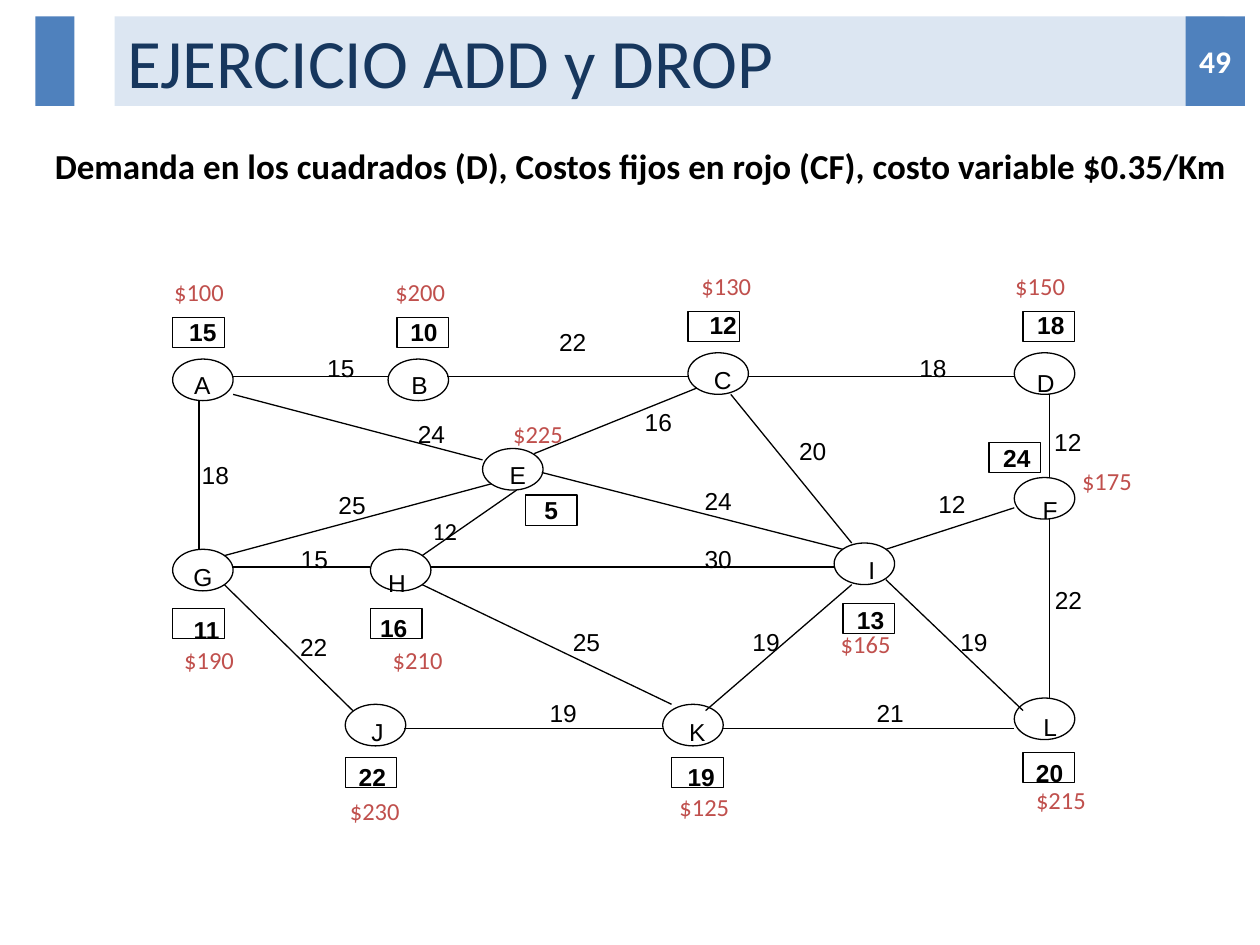
from dataclasses import dataclass

from lxml import etree
from pptx import Presentation
from pptx.dml.color import RGBColor
from pptx.enum.shapes import MSO_CONNECTOR, MSO_SHAPE
from pptx.enum.text import MSO_ANCHOR, PP_ALIGN
from pptx.oxml.ns import qn
from pptx.util import Inches, Pt

RECTANGLE, OVAL = MSO_SHAPE.RECTANGLE, MSO_SHAPE.OVAL
STRAIGHT = MSO_CONNECTOR.STRAIGHT
LEFT, CENTER = PP_ALIGN.LEFT, PP_ALIGN.CENTER
TOP, MIDDLE = MSO_ANCHOR.TOP, MSO_ANCHOR.MIDDLE

# The slide is a grid of 1000 columns by 750 rows.
CELL = Inches(10) // 1000
NODE_SIZE = (48, 33)
SQUARE_SIZE = (41, 24)
LABEL_HEIGHT = 34


@dataclass(frozen=True)
class Theme:
    heading_font: str = "Calibri"
    diagram_font: str = "Arial"
    pale: str = "DCE6F2"
    accent: str = "4F81BD"
    title: str = "17375E"
    ink: str = "000000"
    paper: str = "FFFFFF"
    cost: str = "C0504D"
    title_size: float = 39.6
    subtitle_size: float = 20
    number_size: float = 18
    label_size: float = 14
    line_width: float = 0.75


THEME = Theme()

# Node: oval (x, y), letter (x, y, width), square (x, y),
# demand (text, x, y, width), fixed cost (text, x, y, width)
NODES = {
    "A": ((57, 85), (36, 89, 89), (57, 52), ("15", 30, 47, 102), ("$100", 3, 15, 150)),
    "B": ((228, 85), (212, 89, 82), (235, 52), ("10", 219, 47, 75), ("$200", 165, 15, 177)),
    "C": ((466, 80), (449, 85, 89), (466, 47), ("12", 429, 41, 130), ("$130", 435, 10, 123)),
    "D": ((725, 80), (699, 87, 102), (732, 47), ("18", 713, 41, 82), ("$150", 701, 10, 89)),
    "E": ((303, 156), (280, 160, 102), (337, 193), ("5", 320, 188, 75), ("$225", 279, 128, 136)),
    "F": ((725, 179), (692, 188, 123), (705, 151), ("24", 686, 147, 82), ("$175", 744, 165, 109)),
    "G": ((57, 236), (23, 241, 116), (57, 283), ("11", 43, 283, 82), ("$190", 18, 307, 136)),
    "H": ((214, 236), (184, 246, 102), (214, 283), ("16", 185, 282, 95), ("$210", 190, 307, 123)),
    "I": ((582, 231), (544, 236, 136), (589, 279), ("13", 570, 275, 82), ("$165", 556, 294, 102)),
    "J": ((194, 359), (165, 364, 109), (194, 401), ("22", 185, 400, 61), ("$230", 156, 427, 123)),
    "K": ((446, 359), (395, 364, 157), (453, 401), ("19", 449, 400, 55), ("$125", 404, 424, 150)),
    "L": ((725, 354), (692, 360, 123), (732, 397), ("20", 719, 397, 68), ("$215", 711, 418, 102)),
}

# Road: start, end, distance (text, x, y, width)
ROADS = {
    "AB": ((105, 99), (228, 99), ("15", 153, 75, 75)),
    "BC": ((275, 99), (466, 99), ("22", 337, 55, 75)),
    "CD": ((514, 99), (725, 99), ("18", 596, 75, 129)),
    "DF": ((753, 113), (753, 179), ("12", 713, 134, 109)),
    "FL": ((753, 212), (753, 354), ("22", 686, 259, 164)),
    "KL": ((494, 378), (725, 378), ("21", 582, 349, 89)),
    "JK": ((241, 378), (446, 378), ("19", 316, 349, 102)),
    "GJ": ((98, 264), (200, 364), ("22", 77, 297, 184)),
    "GE": ((98, 241), (310, 184), ("25", 138, 184, 123)),
    "HE": ((255, 241), (330, 189), ("12", 246, 205, 54)),
    "GH": ((105, 250), (214, 250), ("15", 91, 227, 157)),
    "HI": ((262, 250), (582, 250), ("30", 398, 227, 184)),
    "IF": ((623, 236), (725, 203), ("12", 648, 183, 55)),
    "CI": ((500, 113), (596, 231), ("20", 490, 141, 150)),
    "EC": ((344, 160), (473, 108), ("16", 364, 118, 157)),
    "AE": ((105, 113), (303, 165), ("24", 191, 128, 143)),
    "AG": ((78, 118), (78, 236), ("18", 23, 160, 136)),
    "EI": ((350, 175), (589, 236), ("24", 408, 181, 164)),
    "IK": ((596, 264), (480, 364), ("19", 463, 293, 130)),
    "IL": ((623, 260), (732, 364), ("19", 618, 293, 150)),
    "HK": ((255, 264), (453, 359), ("25", 314, 293, 143)),
}


def to_lengths(*cells):
    return [cell * CELL for cell in cells]


def write_text(shape, text, *, font=THEME.diagram_font, size=THEME.label_size,
               color=THEME.ink, bold=False, align=CENTER, anchor=TOP, wrap=True):
    frame = shape.text_frame
    frame.word_wrap = wrap
    frame.vertical_anchor = anchor
    para = frame.paragraphs[0]
    para.alignment = align
    span = para.add_run()
    span.text = text
    span.font.name = font
    span.font.size = Pt(size)
    span.font.bold = bold
    span.font.color.rgb = RGBColor.from_string(color)


def add_text(page, text, box, **text_format):
    write_text(page.shapes.add_textbox(*to_lengths(*box)), text, **text_format)


def set_line(line):
    line.color.rgb = RGBColor.from_string(THEME.ink)
    line.width = Pt(THEME.line_width)


def add_bar(page, box, color):
    bar = page.shapes.add_shape(RECTANGLE, *to_lengths(*box))
    bar.shadow.inherit = False
    bar.fill.solid()
    bar.fill.fore_color.rgb = RGBColor.from_string(color)
    bar.line.fill.background()
    return bar


def add_outline(page, kind, box):
    outline = page.shapes.add_shape(kind, *to_lengths(*box))
    outline.shadow.inherit = False
    outline.fill.background()
    set_line(outline.line)


def add_road(page, start, end):
    road = page.shapes.add_connector(STRAIGHT, *to_lengths(*start, *end))
    set_line(road.line)
    etree.SubElement(road.element.spPr, qn("a:effectLst"))


def add_header(page, box, title, number):
    left, top, width, height = box
    title_bar = add_bar(page, (left + 63, top, width - 79, height), THEME.pale)
    write_text(title_bar, title, font=THEME.heading_font, size=THEME.title_size,
               color=THEME.title, align=LEFT, anchor=MIDDLE)
    add_bar(page, (left, top, 31, height), THEME.accent)
    number_bar = add_bar(page, (left + width - 47, top, 47, height), THEME.accent)
    write_text(number_bar, number, font=THEME.heading_font, size=THEME.number_size,
               color=THEME.paper, bold=True, anchor=MIDDLE, wrap=False)


def add_network(page, origin):
    """Draw roads, nodes, demands and costs from the region's top left corner."""
    left, top = origin

    def shift(point):
        return left + point[0], top + point[1]

    def add_label(text, x, y, width, **text_format):
        add_text(page, text, (*shift((x, y)), width, LABEL_HEIGHT), **text_format)

    for name, (start, end, distance) in ROADS.items():
        add_road(page, shift(start), shift(end))
        font = THEME.heading_font if name == "HE" else THEME.diagram_font
        add_label(*distance, font=font)

    for letter, (oval, letter_place, square, demand, cost) in NODES.items():
        add_outline(page, OVAL, (*shift(oval), *NODE_SIZE))
        add_label(letter, *letter_place)
        add_outline(page, RECTANGLE, (*shift(square), *SQUARE_SIZE))
        add_label(*demand, bold=True)
        add_label(*cost, font=THEME.heading_font, color=THEME.cost)


def main():
    deck = Presentation()
    deck.slide_width, deck.slide_height = to_lengths(1000, 750)
    page = deck.slides.add_slide(deck.slide_layouts[6])
    add_header(page, (28, 13, 960, 71), "EJERCICIO ADD y DROP", "49")
    add_text(page, "Demanda en los cuadrados (D), Costos fijos en rojo (CF), "
             "costo variable $0.35/Km", (28, 84, 961, 94), font=THEME.heading_font,
             size=THEME.subtitle_size, bold=True, anchor=MIDDLE)
    add_network(page, (80, 200))
    deck.save("out.pptx")


if __name__ == "__main__":
    main()
